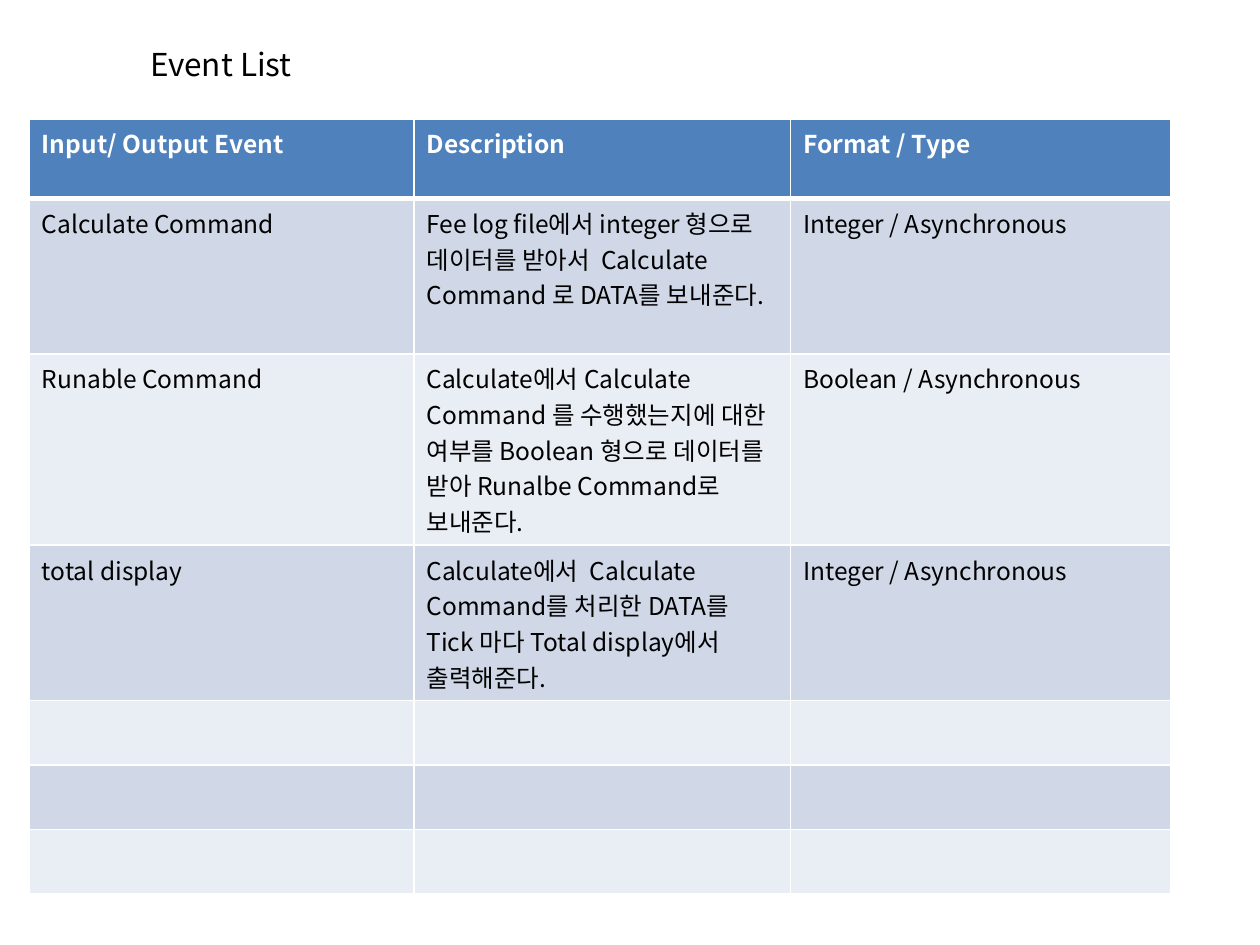
from dataclasses import dataclass

from lxml.etree import SubElement
from pptx import Presentation
from pptx.dml.color import RGBColor
from pptx.enum.text import MSO_ANCHOR, PP_ALIGN
from pptx.oxml.ns import qn
from pptx.util import Cm, Pt


@dataclass(frozen=True)
class Theme:
    font: str = "Noto Sans CJK KR"
    title_size: int = 18
    table_size: int = 14
    text: str = "000000"
    header_text: str = "FFFFFF"
    header_fill: str = "4F81BD"
    band_fills: tuple = ("D0D8E8", "E9EDF4")
    border: str = "FFFFFF"
    border_width: int = 1
    header_rule_width: int = 3


@dataclass(frozen=True)
class Box:
    left: float
    top: float
    width: float
    height: float

    def lengths(self):
        return Cm(self.left), Cm(self.top), Cm(self.width), Cm(self.height)


THEME = Theme()
EVENT_ROWS = [
    ("Input/ Output Event", "Description", "Format / Type"),
    (
        "Calculate Command",
        "Fee log file에서 integer 형으로 데이터를 받아서  Calculate Command 로 DATA를 보내준다.",
        "Integer / Asynchronous",
    ),
    (
        "Runable Command",
        "Calculate에서 Calculate Command 를 수행했는지에 대한 여부를 Boolean 형으로 "
        "데이터를 받아 Runalbe Command로 보내준다.",
        "Boolean / Asynchronous",
    ),
    (
        "total display",
        "Calculate에서  Calculate Command를 처리한 DATA를 Tick 마다 Total display에서 출력해준다.",
        "Integer / Asynchronous",
    ),
] + [("", "", "")] * 3
COLUMN_SHARES = (0.337, 0.33, 0.333)
HEADER_HEIGHT = 1.6
ROW_HEIGHT = 1.3


def format_text(text_frame, size, color, bold=False):
    for para in text_frame.paragraphs:
        for span in para.runs:
            span.font.name = THEME.font
            span.font.size = Pt(size)
            span.font.bold = bold
            span.font.color.rgb = RGBColor.from_string(color)
            east_asian = SubElement(span.font._element, qn("a:ea"))
            east_asian.set("typeface", THEME.font)


def add_borders(cell, bottom_width):
    properties = cell._tc.get_or_add_tcPr()
    for side in "LRTB":
        width = bottom_width if side == "B" else THEME.border_width
        line = SubElement(properties, qn(f"a:ln{side}"), w=str(Pt(width)))
        fill = SubElement(line, qn("a:solidFill"))
        SubElement(fill, qn("a:srgbClr"), val=THEME.border)


def place_title(page, box):
    title = page.shapes.title
    title.left, title.top, title.width, title.height = box.lengths()
    frame = title.text_frame
    frame.text = "Event List"
    frame.word_wrap = True
    frame.vertical_anchor = MSO_ANCHOR.TOP
    frame.paragraphs[0].alignment = PP_ALIGN.LEFT
    format_text(frame, THEME.title_size, THEME.text)


def place_event_table(page, box):
    holder = page.shapes.add_table(len(EVENT_ROWS), len(COLUMN_SHARES), *box.lengths())
    table = holder.table
    for column, share in zip(table.columns, COLUMN_SHARES):
        column.width = Cm(box.width * share)
    for index, texts in enumerate(EVENT_ROWS):
        is_header = index == 0
        table.rows[index].height = Cm(HEADER_HEIGHT if is_header else ROW_HEIGHT)
        fill = THEME.header_fill if is_header else THEME.band_fills[(index - 1) % 2]
        color = THEME.header_text if is_header else THEME.text
        for cell, text in zip(table.rows[index].cells, texts):
            add_borders(cell, THEME.header_rule_width if is_header else THEME.border_width)
            cell.fill.solid()
            cell.fill.fore_color.rgb = RGBColor.from_string(fill)
            if text:
                cell.text_frame.text = text
                format_text(cell.text_frame, THEME.table_size, color, is_header)
    holder.height = Cm(box.height)


def main():
    deck = Presentation()
    deck.slide_width, deck.slide_height = Cm(25.4), Cm(19.05)
    page = deck.slides.add_slide(deck.slide_layouts.get_by_name("Title Only"))
    place_event_table(page, Box(0.59, 2.4, 23.01, 13.31))
    place_title(page, Box(2.77, 0.79, 8.94, 1.02))
    deck.save("out.pptx")


if __name__ == "__main__":
    main()
